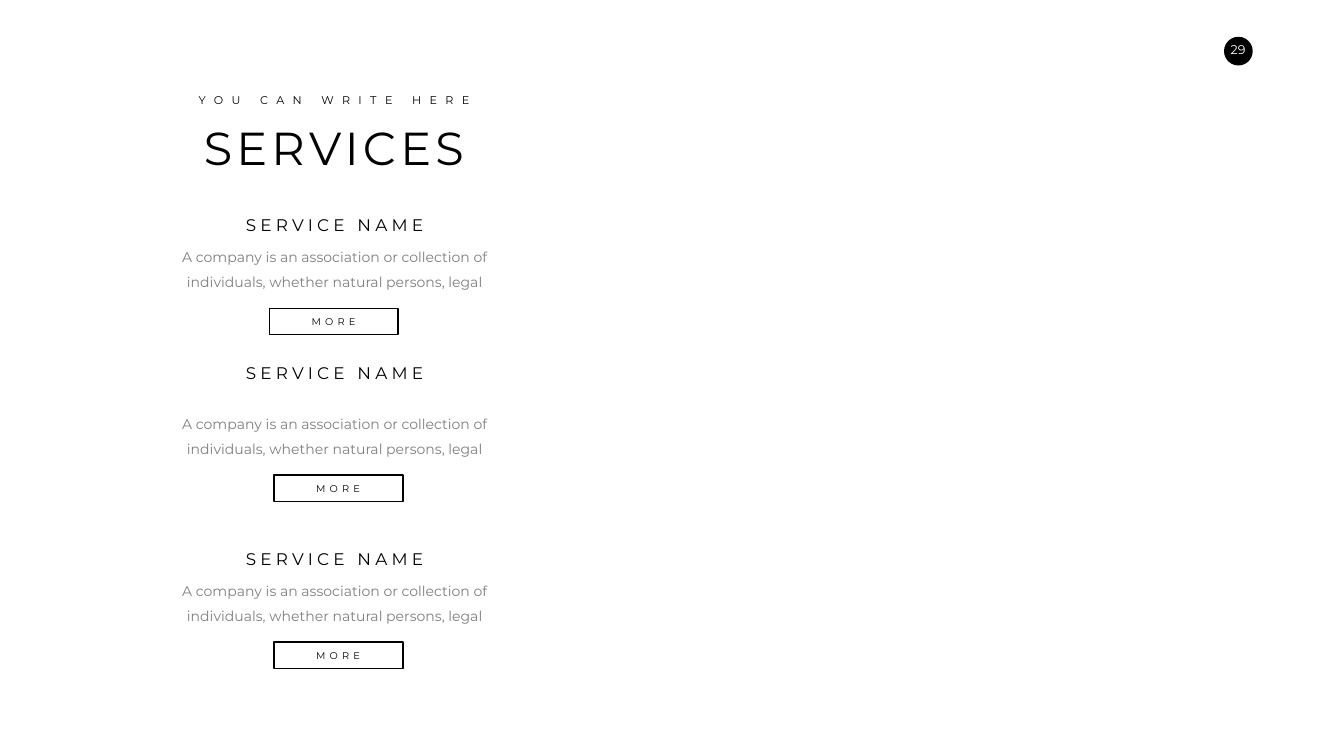
import pptx
import pptx.util
from pptx.dml.color import RGBColor
from pptx.enum.shapes import MSO_SHAPE
from pptx.enum.text import MSO_ANCHOR, MSO_AUTO_SIZE, PP_ALIGN

PX = 9144  # EMU per px, 100 px to the inch


class Theme:
    font = "Montserrat"
    black = RGBColor(0x00, 0x00, 0x00)
    grey = RGBColor(0x7F, 0x7F, 0x7F)
    white = RGBColor(0xFF, 0xFF, 0xFF)
    title, name, body, number, kicker, button = 66, 24, 20, 18, 16, 14
    outline = 2.25


def place(left, top, width, height):
    return [value * PX for value in (left, top, width, height)]


def write(box, text, size, color=Theme.black, tracking=0, wrap=False, leading=None):
    """Fill a text box with one centred run; tracking is in points."""
    frame = box.text_frame
    frame.word_wrap = wrap
    frame.auto_size = MSO_AUTO_SIZE.SHAPE_TO_FIT_TEXT
    frame.vertical_anchor = MSO_ANCHOR.TOP
    para = frame.paragraphs[0]
    para.alignment = PP_ALIGN.CENTER
    if leading:
        para.line_spacing = leading
    span = para.add_run()
    span.text = text
    span.font.name = Theme.font
    span.font.size = pptx.util.Pt(size)
    span.font.color.rgb = color
    if tracking:
        span._r.get_or_add_rPr().set("spc", str(tracking * 100))


deck = pptx.Presentation()
deck.slide_width = 2666 * PX
deck.slide_height = 1500 * PX
page = deck.slides.add_slide(deck.slide_layouts.get_by_name("Title Only"))
shapes = page.shapes

# Page number
disc = shapes.add_shape(MSO_SHAPE.OVAL, *place(2428, 73, 57, 57))
disc.shadow.inherit = False
disc.fill.solid()
disc.fill.fore_color.rgb = Theme.black
disc.line.fill.background()
number = shapes.add_textbox(*place(2413, 73, 86, 50))
number.text_frame.margin_top = number.text_frame.margin_bottom = 10 * PX
write(number, "29", Theme.number, Theme.white)

# Heading
title = shapes.title
title.left, title.top, title.width, title.height = place(389, 231, 547, 121)
write(title, "SERVICES", Theme.title, tracking=6)
kicker = shapes.add_textbox(*place(374, 181, 578, 37))
write(kicker, "YOU CAN WRITE HERE", Theme.kicker, tracking=12)

# Services: top of the name, left of the button; descriptions step evenly
DESCRIPTION_TOP, STEP = 472, 331
services = [(422, 535), (715, 544), (1083, 544)]
for index, (name_top, button_left) in enumerate(services):
    top = DESCRIPTION_TOP + index * STEP
    button_top = top + 140

    name = shapes.add_textbox(*place(472, name_top, 383, 50))
    write(name, "SERVICE NAME", Theme.name, tracking=6)

    description = shapes.add_textbox(*place(332, top, 664, 104))
    write(description,
          "A company is an association or collection of individuals, whether natural persons, legal",
          Theme.body, Theme.grey, wrap=True, leading=1.5)

    button = shapes.add_shape(MSO_SHAPE.RECTANGLE, *place(button_left, button_top, 255, 52))
    button.shadow.inherit = False
    button.fill.background()
    button.line.color.rgb = Theme.black
    button.line.width = pptx.util.Pt(Theme.outline)

    label = shapes.add_textbox(*place(button_left + 69, button_top + 10, 115, 34))
    write(label, "MORE", Theme.button, tracking=6)

deck.save("out.pptx")
